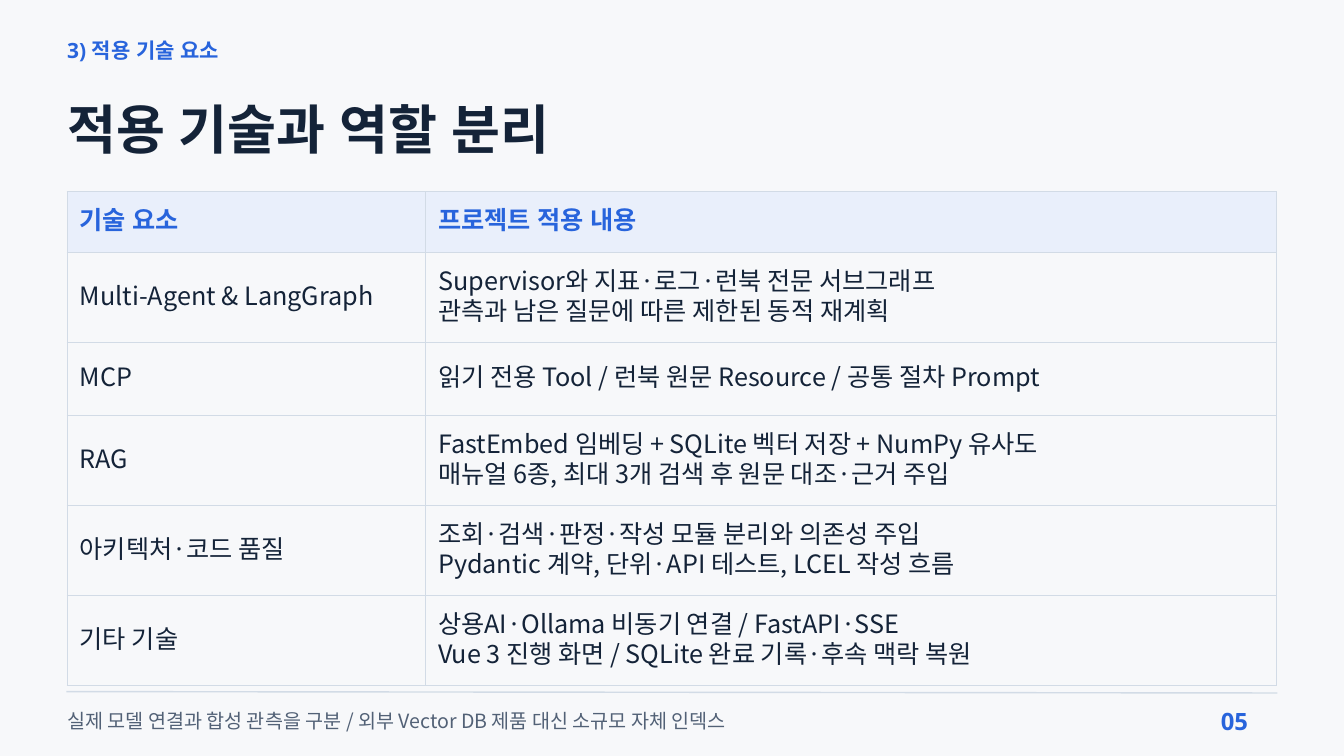
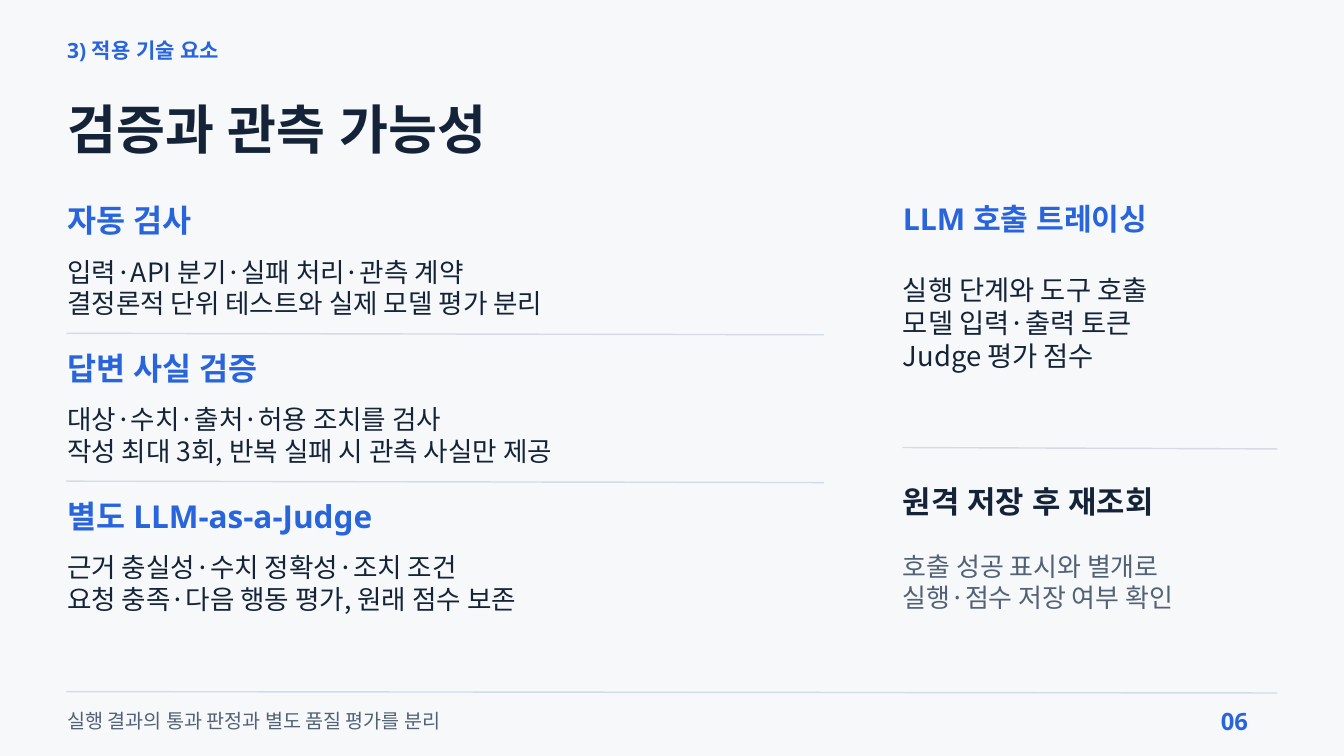
from pptx import Presentation
from pptx.dml.color import RGBColor
from pptx.enum.shapes import MSO_CONNECTOR
from pptx.enum.text import MSO_ANCHOR, MSO_AUTO_SIZE
from pptx.oxml import parse_xml
from pptx.oxml.ns import nsdecls, qn
from pptx.util import Pt
from lxml.etree import SubElement

BACKGROUND = RGBColor(0xF7, 0xF8, 0xFA)
BLUE = RGBColor(0x28, 0x64, 0xDC)
INK = RGBColor(0x14, 0x23, 0x38)
MUTED = RGBColor(0x52, 0x61, 0x76)
RULE = RGBColor(0xD2, 0xDB, 0xE6)
HEADER_FILL = RGBColor(0xE9, 0xEF, 0xFB)
HEADING_FONT = "Noto Sans"
BODY_FONT = "Noto Sans CJK KR"

LEFT = 72
RIGHT = 1368
SIDE_LEFT = 967.5
SIDE_WIDTH = 400.5
LINE_SPACING = 1.2
CELL_INSET = 13.5

COLUMN_WIDTHS = [384, 911.25]
HEADER_HEIGHT = 65.5
ROW_HEIGHTS = {1: 77.75, 2: 96.5}
TECHNOLOGY_HEADER = ["기술 요소", "프로젝트 적용 내용"]
TECHNOLOGIES = [
    ("Multi-Agent & LangGraph",
     ["Supervisor와 지표·로그·런북 전문 서브그래프",
      "관측과 남은 질문에 따른 제한된 동적 재계획"]),
    ("MCP",
     ["읽기 전용 Tool / 런북 원문 Resource / 공통 절차 Prompt"]),
    ("RAG",
     ["FastEmbed 임베딩 + SQLite 벡터 저장 + NumPy 유사도",
      "매뉴얼 6종, 최대 3개 검색 후 원문 대조·근거 주입"]),
    ("아키텍처·코드 품질",
     ["조회·검색·판정·작성 모듈 분리와 의존성 주입",
      "Pydantic 계약, 단위·API 테스트, LCEL 작성 흐름"]),
    ("기타 기술",
     ["상용AI·Ollama 비동기 연결 / FastAPI·SSE",
      "Vue 3 진행 화면 / SQLite 완료 기록·후속 맥락 복원"]),
]

CHECK_STEP = 158.4
CHECKS = [
    ("자동 검사",
     ["입력·API 분기·실패 처리·관측 계약",
      "결정론적 단위 테스트와 실제 모델 평가 분리"]),
    ("답변 사실 검증",
     ["대상·수치·출처·허용 조치를 검사",
      "작성 최대 3회, 반복 실패 시 관측 사실만 제공"]),
    ("별도 LLM-as-a-Judge",
     ["근거 충실성·수치 정확성·조치 조건",
      "요청 충족·다음 행동 평가, 원래 점수 보존"]),
]


class Deck:
    """Holds the shared style and the slide being built."""

    def __init__(self):
        self.presentation = Presentation()
        self.presentation.slide_width = Pt(1440)
        self.presentation.slide_height = Pt(810)
        self.slide = None

    def start_slide(self, title, footer, number):
        self.slide = self.presentation.slides.add_slide(self.presentation.slide_layouts[6])
        fill = self.slide.background.fill
        fill.solid()
        fill.fore_color.rgb = BACKGROUND
        self.heading("3) 적용 기술 요소", LEFT, 40.5, 1275, 36, 22.5)
        self.heading(title, LEFT, 103.5, 1296, 82, 57, INK)
        self.rule(LEFT, RIGHT, 741)
        self.body([footer], LEFT, 759.75, 1192.5, 31.5, 21, MUTED)
        self.heading(number, 1308, 756.75, 60, 33, 25.5)

    def add_lines(self, frame, lines, size, color, font_name, bold):
        for index, line in enumerate(lines):
            paragraph = frame.add_paragraph() if index else frame.paragraphs[0]
            paragraph.line_spacing = Pt(size * LINE_SPACING)
            run = paragraph.add_run()
            run.text = line
            run.font.size = Pt(size)
            run.font.bold = bold
            run.font.color.rgb = color
            run.font.name = font_name
            SubElement(run.font._element, qn("a:ea"), typeface=font_name)

    def text(self, lines, left, top, width, height, size, color, font_name, bold):
        shape = self.slide.shapes.add_textbox(Pt(left), Pt(top), Pt(width), Pt(height))
        frame = shape.text_frame
        frame.margin_left = frame.margin_right = frame.margin_top = frame.margin_bottom = 0
        frame.word_wrap = True
        frame.auto_size = MSO_AUTO_SIZE.SHAPE_TO_FIT_TEXT
        self.add_lines(frame, lines, size, color, font_name, bold)

    def heading(self, line, left, top, width, height, size, color=BLUE):
        self.text([line], left, top, width, height, size, color, HEADING_FONT, True)

    def body(self, lines, left, top, width, height, size, color=INK):
        self.text(lines, left, top, width, height, size, color, BODY_FONT, False)

    def rule(self, left, right, top):
        connector = self.slide.shapes.add_connector(
            MSO_CONNECTOR.STRAIGHT, Pt(left - 0.75), Pt(top), Pt(right + 0.75), Pt(top + 1.5))
        connector.line.color.rgb = RULE
        connector.line.width = Pt(1.5)
        SubElement(connector._element.spPr, qn("a:effectLst"))

    def cell(self, cell, lines, header):
        cell.margin_left = cell.margin_right = Pt(CELL_INSET)
        cell.margin_top = cell.margin_bottom = Pt(CELL_INSET)
        cell.vertical_anchor = MSO_ANCHOR.MIDDLE
        cell.fill.solid()
        cell.fill.fore_color.rgb = HEADER_FILL if header else BACKGROUND
        if header:
            self.add_lines(cell.text_frame, lines, 27, BLUE, HEADING_FONT, True)
        else:
            self.add_lines(cell.text_frame, lines, 27, INK, BODY_FONT, False)
        properties = cell._tc.get_or_add_tcPr()
        for position, side in enumerate("LRTB"):
            properties.insert(position, parse_xml(
                f'<a:ln{side} {nsdecls("a")} w="{Pt(1.13)}"><a:solidFill>'
                f'<a:srgbClr val="{RULE}"/></a:solidFill></a:ln{side}>'))

    def table(self, header, rows, left, top):
        heights = [HEADER_HEIGHT] + [ROW_HEIGHTS[len(lines)] for _, lines in rows]
        table = self.slide.shapes.add_table(
            len(heights), len(header), Pt(left), Pt(top),
            Pt(sum(COLUMN_WIDTHS)), Pt(sum(heights))).table
        table.first_row = table.horz_banding = False
        for column, width in zip(table.columns, COLUMN_WIDTHS):
            column.width = Pt(width)
        contents = [[[label] for label in header]] + [[[name], lines] for name, lines in rows]
        for row_index, (height, row) in enumerate(zip(heights, contents)):
            table.rows[row_index].height = Pt(height)
            for column_index, lines in enumerate(row):
                self.cell(table.cell(row_index, column_index), lines, row_index == 0)


def build_technologies(deck):
    deck.start_slide("적용 기술과 역할 분리",
                     "실제 모델 연결과 합성 관측을 구분 / 외부 Vector DB 제품 대신 소규모 자체 인덱스",
                     "05")
    deck.table(TECHNOLOGY_HEADER, TECHNOLOGIES, LEFT, 205.25)


def build_verification(deck):
    deck.start_slide("검증과 관측 가능성", "실행 결과의 통과 판정과 별도 품질 평가를 분리", "06")
    for index, (name, lines) in enumerate(CHECKS):
        offset = index * CHECK_STEP
        if index:
            deck.rule(LEFT, 882, 198.75 + offset)
        deck.heading(name, LEFT, 215.25 + offset, 795, 48, 33.75)
        deck.body(lines, LEFT, 273.75 + offset, 810, 80.5, 28.5)
    deck.heading("LLM 호출 트레이싱", SIDE_LEFT, 215.25, SIDE_WIDTH, 51, 32.25)
    deck.body(["실행 단계와 도구 호출", "모델 입력·출력 토큰", "Judge 평가 점수"],
              SIDE_LEFT, 293.25, SIDE_WIDTH, 154, 29.25)
    deck.rule(SIDE_LEFT, RIGHT, 479.5)
    deck.heading("원격 저장 후 재조회", SIDE_LEFT, 517, SIDE_WIDTH, 52.5, 33, INK)
    deck.body(["호출 성공 표시와 별개로", "실행·점수 저장 여부 확인"],
              SIDE_LEFT, 589.5, SIDE_WIDTH, 94.5, 27.75, MUTED)


def main():
    deck = Deck()
    build_technologies(deck)
    build_verification(deck)
    deck.presentation.save("out.pptx")


if __name__ == "__main__":
    main()
